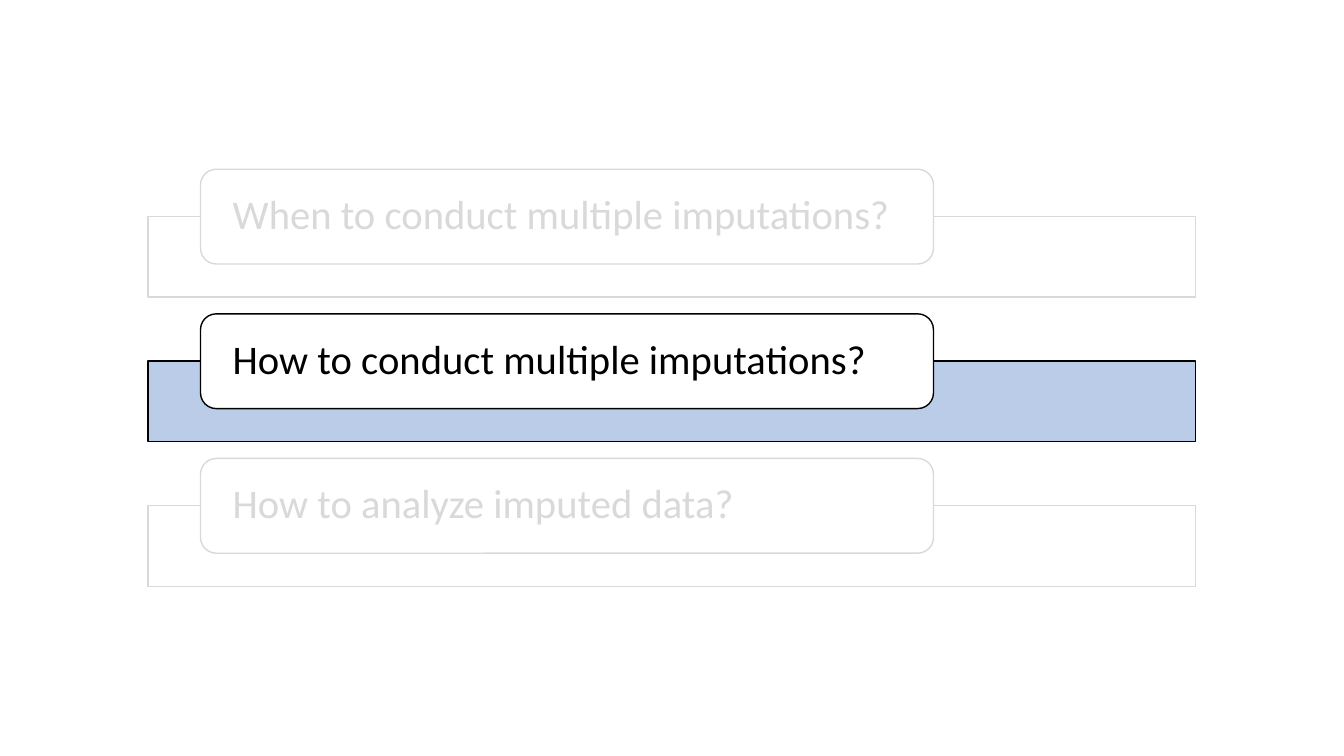
from dataclasses import dataclass

import lxml.etree
import pptx
import pptx.dml.color
import pptx.enum.shapes
import pptx.enum.text
import pptx.oxml.ns
import pptx.shapes.autoshape
import pptx.slide
import pptx.util

Pt = pptx.util.Pt
Kind = pptx.enum.shapes.MSO_SHAPE


@dataclass(frozen=True)
class Theme:
    font: str = "Calibri"
    size: float = 29
    white: str = "FFFFFF"
    black: str = "000000"
    grey: str = "D9D9D9"
    blue: str = "B4C7E7"


@dataclass(frozen=True)
class Box:
    left: float
    top: float
    width: float
    height: float


@dataclass(frozen=True)
class Topic:
    text: str
    ink: str
    fill: str


THEME = Theme()
BAR = Box(105.8, 154.6, 748, 57.6)
LABEL = Box(143.2, 120.9, 523.6, 67.7)
STEP = 103.3
TOPICS = [
    Topic("When to conduct multiple imputations?", THEME.grey, THEME.white),
    Topic("How to conduct multiple imputations?", THEME.black, THEME.blue),
    Topic("How to analyze imputed data?", THEME.grey, THEME.white),
]


def rgb(code: str) -> pptx.dml.color.RGBColor:
    return pptx.dml.color.RGBColor.from_string(code)


def add_box(slide: pptx.slide.Slide, kind: Kind, box: Box, shift: float,
            fill: str, line: str) -> pptx.shapes.autoshape.Shape:
    """Draw a box moved down by shift points."""
    shape = slide.shapes.add_shape(
        kind, Pt(box.left), Pt(box.top + shift), Pt(box.width), Pt(box.height))
    shape.shadow.inherit = False
    shape.fill.solid()
    shape.fill.fore_color.rgb = rgb(fill)
    shape.line.color.rgb = rgb(line)
    shape.line.width = Pt(1)
    return shape


def set_alpha(shape: pptx.shapes.autoshape.Shape, percent: int) -> None:
    qn = pptx.oxml.ns.qn
    color = shape.element.spPr.find(qn("a:solidFill")).find(qn("a:srgbClr"))
    lxml.etree.SubElement(color, qn("a:alpha")).set("val", str(percent * 1000))


def put_text(shape: pptx.shapes.autoshape.Shape, text: str, *, color: str,
             size: float = THEME.size, font: str = THEME.font,
             inset: float = 19.7) -> None:
    frame = shape.text_frame
    frame.word_wrap = True
    frame.vertical_anchor = pptx.enum.text.MSO_ANCHOR.MIDDLE
    frame.margin_left = frame.margin_right = Pt(inset)
    frame.margin_top = frame.margin_bottom = Pt(0)
    line = frame.paragraphs[0]
    line.alignment = pptx.enum.text.PP_ALIGN.LEFT
    line.line_spacing = 0.9
    run = line.add_run()
    run.text = text
    run.font.name = font
    run.font.size = Pt(size)
    run.font.color.rgb = rgb(color)


def draw_topic(slide: pptx.slide.Slide, topic: Topic, shift: float) -> None:
    bar = add_box(slide, Kind.RECTANGLE, BAR, shift, topic.fill, topic.ink)
    set_alpha(bar, 90)
    label = add_box(slide, Kind.ROUNDED_RECTANGLE, LABEL, shift,
                    THEME.white, topic.ink)
    put_text(label, topic.text, color=topic.ink)


def main() -> None:
    deck = pptx.Presentation()
    deck.slide_width, deck.slide_height = Pt(960), Pt(540)
    slide = deck.slides.add_slide(deck.slide_layouts[6])
    for row, topic in enumerate(TOPICS):
        draw_topic(slide, topic, row * STEP)
    deck.save("out.pptx")


if __name__ == "__main__":
    main()
